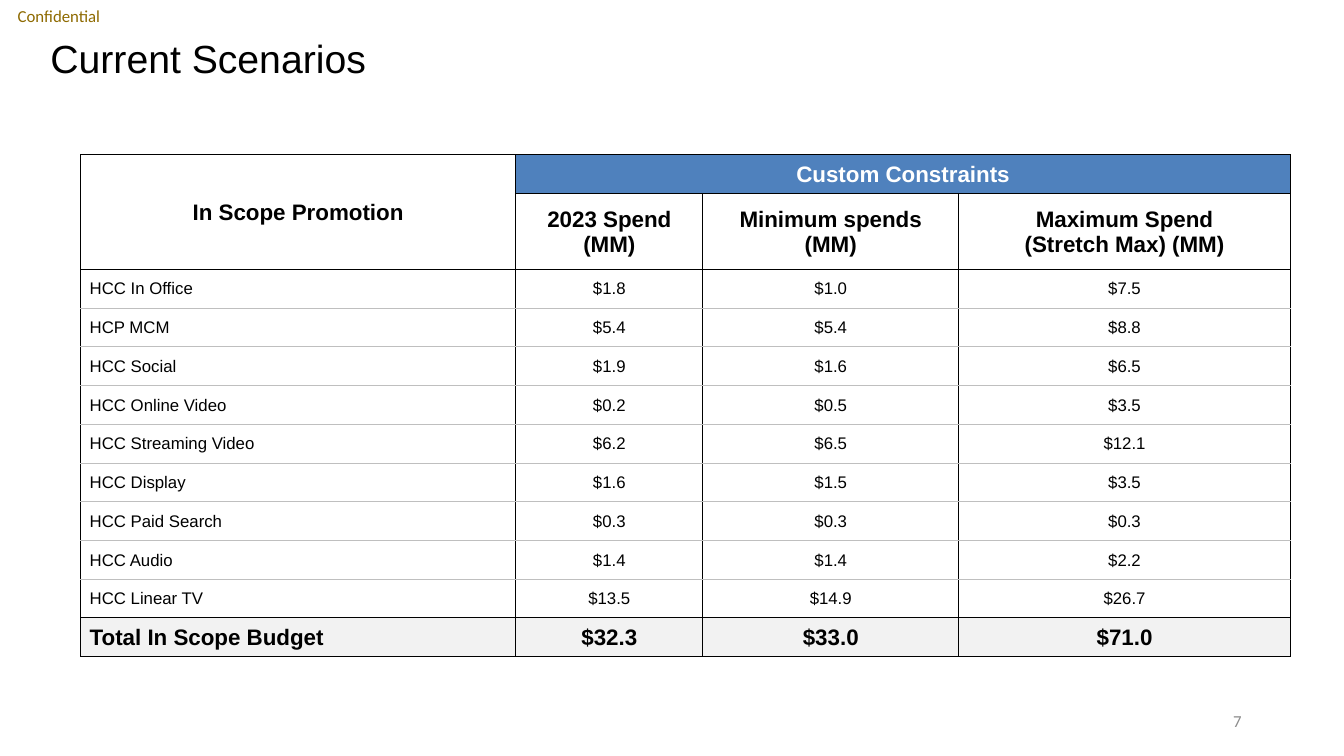
from dataclasses import dataclass

from lxml.etree import SubElement
from pptx import Presentation
from pptx.dml.color import RGBColor
from pptx.enum.text import MSO_ANCHOR, MSO_AUTO_SIZE, PP_ALIGN
from pptx.oxml.ns import qn
from pptx.util import Pt


@dataclass(frozen=True)
class Theme:
    heading_font: str = "Arial"
    note_font: str = "Calibri"
    black: str = "000000"
    white: str = "FFFFFF"
    blue: str = "4F81BD"
    total_fill: str = "F2F2F2"
    grid: str = "BFBFBF"
    gold: str = "8E6A00"
    grey: str = "8C8C8C"
    title_size: int = 28
    strong_size: int = 16
    body_size: int = 12


THEME = Theme()
COLUMN_WIDTHS = [310.8, 133.7, 182.7, 237]
ROW_HEIGHT = 27.68
SUBHEADING_HEIGHT = 54
HEADINGS = [
    ["In Scope Promotion", "Custom Constraints", "", ""],
    ["", "2023 Spend\n(MM)", "Minimum spends\n(MM)", "Maximum Spend\v(Stretch Max) (MM)"],
]
SPENDS = [
    ["HCC In Office", "$1.8", "$1.0", "$7.5"],
    ["HCP MCM", "$5.4", "$5.4", "$8.8"],
    ["HCC Social", "$1.9", "$1.6", "$6.5"],
    ["HCC Online Video", "$0.2", "$0.5", "$3.5"],
    ["HCC Streaming Video", "$6.2", "$6.5", "$12.1"],
    ["HCC Display", "$1.6", "$1.5", "$3.5"],
    ["HCC Paid Search", "$0.3", "$0.3", "$0.3"],
    ["HCC Audio", "$1.4", "$1.4", "$2.2"],
    ["HCC Linear TV", "$13.5", "$14.9", "$26.7"],
]
TOTAL = ["Total In Scope Budget", "$32.3", "$33.0", "$71.0"]


def write_text(frame, text, size, color, font, bold=False, align=PP_ALIGN.LEFT):
    for index, line in enumerate(text.split("\n")):
        para = frame.paragraphs[0] if index == 0 else frame.add_paragraph()
        para.alignment = align
        for part_index, part in enumerate(line.split("\v")):
            if part_index:
                para.add_line_break()
            span = para.add_run()
            span.text = part
            span.font.size = Pt(size)
            span.font.bold = bold
            span.font.name = font
            span.font.color.rgb = RGBColor.from_string(color)


def add_title(page, text):
    title = page.shapes.title
    title.left, title.top, title.width, title.height = Pt(28.8), Pt(28.8), Pt(864), Pt(28.8)
    frame = title.text_frame
    frame.auto_size = MSO_AUTO_SIZE.NONE
    frame.vertical_anchor = MSO_ANCHOR.MIDDLE
    write_text(frame, text, THEME.title_size, THEME.black, THEME.heading_font)
    frame.paragraphs[0].line_spacing = 0.9


def add_note(page, text, left, top, width, height, color, align):
    box = page.shapes.add_textbox(Pt(left), Pt(top), Pt(width), Pt(height))
    frame = box.text_frame
    frame.word_wrap = True
    frame.vertical_anchor = MSO_ANCHOR.MIDDLE
    write_text(frame, text, THEME.body_size, color, THEME.note_font, align=align)


def set_borders(cell, top_color, bottom_color):
    properties = cell._tc.get_or_add_tcPr()
    sides = {"L": THEME.black, "R": THEME.black, "T": top_color, "B": bottom_color}
    for side, color in sides.items():
        width = Pt(0.5) if color == THEME.grid else Pt(1)
        line = SubElement(properties, qn(f"a:ln{side}"), w=str(width))
        fill = SubElement(line, qn("a:solidFill"))
        SubElement(fill, qn("a:srgbClr"), val=color)


def format_cell(cell, text, left_aligned, strong, color, fill):
    cell.margin_left = Pt(6.5 if left_aligned else 0.7)
    cell.margin_right = cell.margin_top = Pt(0.7)
    cell.margin_bottom = Pt(0)
    cell.vertical_anchor = MSO_ANCHOR.MIDDLE
    if fill:
        cell.fill.solid()
        cell.fill.fore_color.rgb = RGBColor.from_string(fill)
    else:
        cell.fill.background()
    if text:
        size = THEME.strong_size if strong else THEME.body_size
        align = PP_ALIGN.LEFT if left_aligned else PP_ALIGN.CENTER
        write_text(cell.text_frame, text, size, color, THEME.heading_font, strong, align)


def add_spend_table(page):
    rows = HEADINGS + SPENDS + [TOTAL]
    first_spend, total_row = len(HEADINGS), len(rows) - 1
    heights = [ROW_HEIGHT] * len(rows)
    heights[1] = SUBHEADING_HEIGHT
    frame = page.shapes.add_table(len(rows), len(COLUMN_WIDTHS), Pt(57.6), Pt(110.6),
                                  Pt(sum(COLUMN_WIDTHS)), Pt(sum(heights)))
    table = frame.table
    table.first_row = table.horz_banding = False
    for column, width in zip(table.columns, COLUMN_WIDTHS):
        column.width = Pt(width)
    for row, height in zip(table.rows, heights):
        row.height = Pt(height)
    for row_index, texts in enumerate(rows):
        is_spend = first_spend <= row_index < total_row
        top = THEME.grid if first_spend < row_index < total_row else THEME.black
        bottom = THEME.grid if first_spend <= row_index < total_row - 1 else THEME.black
        for column_index, text in enumerate(texts):
            cell = table.cell(row_index, column_index)
            is_banner = row_index == 0 and column_index > 0
            fill = THEME.blue if is_banner else None
            if row_index == total_row:
                fill = THEME.total_fill
            set_borders(cell, top, bottom)
            format_cell(cell, text, column_index == 0 and row_index >= first_spend,
                        not is_spend, THEME.white if is_banner else THEME.black, fill)
    table.cell(0, 0).merge(table.cell(1, 0))
    table.cell(0, 1).merge(table.cell(0, 3))


def main():
    deck = Presentation()
    deck.slide_width, deck.slide_height = Pt(960), Pt(540)
    page = deck.slides.add_slide(deck.slide_layouts[5])
    add_note(page, "Confidential", 0, 0, 84.24, 23.04, THEME.gold, PP_ALIGN.CENTER)
    add_title(page, "Current Scenarios")
    add_note(page, "7", 678, 500.4, 216, 28.8, THEME.grey, PP_ALIGN.RIGHT)
    add_spend_table(page)
    deck.save("out.pptx")


if __name__ == "__main__":
    main()
